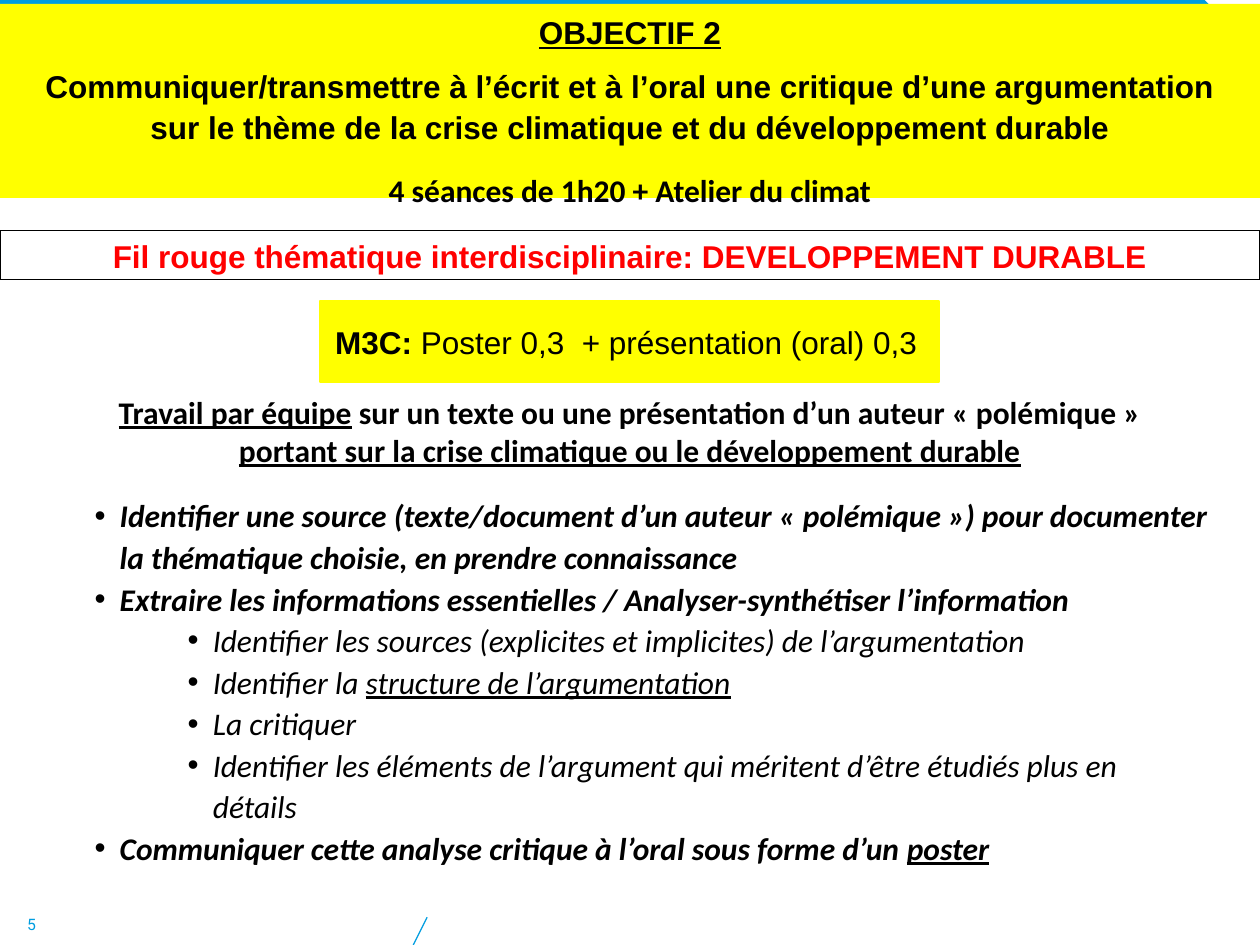
from lxml import etree
from pptx import Presentation
from pptx.dml.color import RGBColor
from pptx.enum.shapes import MSO_CONNECTOR, MSO_SHAPE
from pptx.enum.text import MSO_ANCHOR as Anchor, MSO_AUTO_SIZE as AutoSize, PP_ALIGN as Align
from pptx.oxml.ns import qn
from pptx.util import Inches, Pt

COLORS = {"blue": "009DE0", "yellow": "FFFF00", "black": "000000", "red": "FF0000"}

OBJECTIVE = [
    [("OBJECTIF 2", "u")],
    [("Communiquer/transmettre à l’écrit et à l’oral une critique d’une argumentation\v"
      "sur le thème de la crise climatique et du développement durable", "")],
]
SESSIONS = [[("4 séances de 1h20 + Atelier du climat", "")]]
THEME = [[("Fil rouge thématique interdisciplinaire: DEVELOPPEMENT DURABLE", "")]]
GRADING = [[("M3C: ", "b"), ("Poster 0,3  + présentation (oral) 0,3", "")]]
TEAMWORK = [[
    ("Travail par équipe", "u"),
    (" sur un texte ou une présentation d’un auteur «\u00a0polémique\u00a0» ", ""),
    ("portant sur la crise climatique ou le développement durable", "u"),
]]
STEPS = [
    (0, [("Identifier une source (texte/document d’un auteur «\u00a0polémique\u00a0») pour "
          "documenter la thématique choisie, en prendre connaissance", "")]),
    (0, [("Extraire les informations essentielles / Analyser-synthétiser l’information", "")]),
    (1, [("Identifier les sources (explicites et implicites) de l’argumentation", "")]),
    (1, [("Identifier la ", ""), ("structure de l’argumentation", "u")]),
    (1, [("La critiquer", "")]),
    (1, [("Identifier les éléments de l’argument qui méritent d’être étudiés plus en détails", "")]),
    (0, [("Communiquer cette analyse critique à l’oral\u00a0sous forme d’un ", ""), ("poster", "u")]),
]
STEP_INDENTS = [0.29, 1.03]
PAGE_NUMBER = [[("5", "")]]
HEADER_CORNERS = [(9.56, 0), (10.01, 0.46), (10.01, 1), (0, 1)]


def rgb(name):
    return RGBColor.from_string(COLORS[name])


def place(shape, box):
    shape.left, shape.top, shape.width, shape.height = map(Inches, box)


def paint(shape, fill=None, line=None, width=0.75):
    shape.shadow.inherit = False
    if fill:
        shape.fill.solid()
        shape.fill.fore_color.rgb = rgb(fill)
    else:
        shape.fill.background()
    if line:
        shape.line.color.rgb = rgb(line)
        shape.line.width = Pt(width)
    else:
        shape.line.fill.background()


def write(shape, paragraphs, font="Arial", size=18, color="black", bold=True,
          align=Align.CENTER, anchor=Anchor.TOP, wrap=True, spacing=1.0, before=0):
    frame = shape.text_frame
    frame.auto_size = AutoSize.NONE
    frame.word_wrap = wrap
    frame.vertical_anchor = anchor
    frame.margin_left = frame.margin_right = Inches(0.05)
    frame.margin_top = frame.margin_bottom = Inches(0.05)
    for index, pieces in enumerate(paragraphs):
        paragraph = frame.add_paragraph() if index else frame.paragraphs[0]
        paragraph.alignment = align
        paragraph.line_spacing = spacing
        paragraph.space_before = Pt(before if index else 0)
        paragraph.font.name = font
        paragraph.font.size = Pt(size)
        paragraph.font.bold = bold
        paragraph.font.color.rgb = rgb(color)
        for text, style in pieces:
            for number, line in enumerate(text.split("\v")):
                if number:
                    paragraph.add_line_break()
                run = paragraph.add_run()
                run.text = line
                run.font.name = font
                run.font.size = Pt(size)
                run.font.color.rgb = rgb(color)
                run.font.bold = bold or "b" in style
                run.font.underline = "u" in style
    return frame


def add_text(box, paragraphs, **style):
    return write(slide.shapes.add_textbox(*map(Inches, box)), paragraphs, **style)


def add_rect(box, **style):
    rect = slide.shapes.add_shape(MSO_SHAPE.RECTANGLE, *map(Inches, box))
    paint(rect, **style)
    return rect


deck = Presentation()
deck.slide_width, deck.slide_height = Inches(10), Inches(7.5)
slide = deck.slides.add_slide(deck.slide_layouts[1])
objective, steps = slide.placeholders[0], slide.placeholders[1]

outline = slide.shapes.build_freeform(0, 0)
outline.add_line_segments([(Inches(x), Inches(y)) for x, y in HEADER_CORNERS], close=True)
header = outline.convert_to_shape()
paint(header, fill="blue")
slide.shapes._spTree.insert(2, header._element)

slash = slide.shapes.add_connector(
    MSO_CONNECTOR.STRAIGHT, *map(Inches, (3.28, 7.5, 3.39, 7.28)))
slash.line.color.rgb = rgb("blue")
slash.line.width = Pt(0.75)
etree.SubElement(slash._element.spPr, qn("a:effectLst"))

add_text((0.16, 7.22, 0.18, 0.23), PAGE_NUMBER, font="Roboto", size=9, color="blue",
         bold=False, anchor=Anchor.MIDDLE, wrap=False)

place(objective, (0, 0.03, 10, 1.54))
objective.fill.solid()
objective.fill.fore_color.rgb = rgb("yellow")
write(objective, OBJECTIVE, spacing=1.07, before=8)

write(add_rect((0, 1.83, 10, 0.39), line="black"), THEME, color="red")
add_rect((2.54, 2.39, 4.91, 0.64), fill="yellow", line="yellow", width=1)
add_text((2.61, 2.36, 4.79, 0.71), GRADING, bold=False, align=Align.LEFT, anchor=Anchor.MIDDLE)
add_text((0.65, 3.07, 8.7, 0.68), TEAMWORK, font="Calibri")
sessions = add_text((2.96, 1.29, 4.08, 0.36), SESSIONS, font="Calibri", wrap=False, spacing=1.07)
sessions.paragraphs[0].space_before = Pt(8)

place(steps, (0.61, 3.86, 9.03, 3.13))
step_list = write(steps, [pieces for _, pieces in STEPS], font="Calibri",
                  align=Align.LEFT, spacing=1.1)
for (level, _), step in zip(STEPS, step_list.paragraphs):
    step.level = level
    for font in [step.font] + [run.font for run in step.runs]:
        font.italic = True
        font.bold = level == 0
    properties = step._p.get_or_add_pPr()
    properties.set("marL", str(Inches(STEP_INDENTS[level])))
    properties.set("indent", str(Inches(-0.2)))
    default_run = properties.find(qn("a:defRPr"))
    default_run.addprevious(etree.Element(qn("a:buFont"), typeface="Arial"))
    default_run.addprevious(etree.Element(qn("a:buChar"), char="•"))

deck.save("out.pptx")
